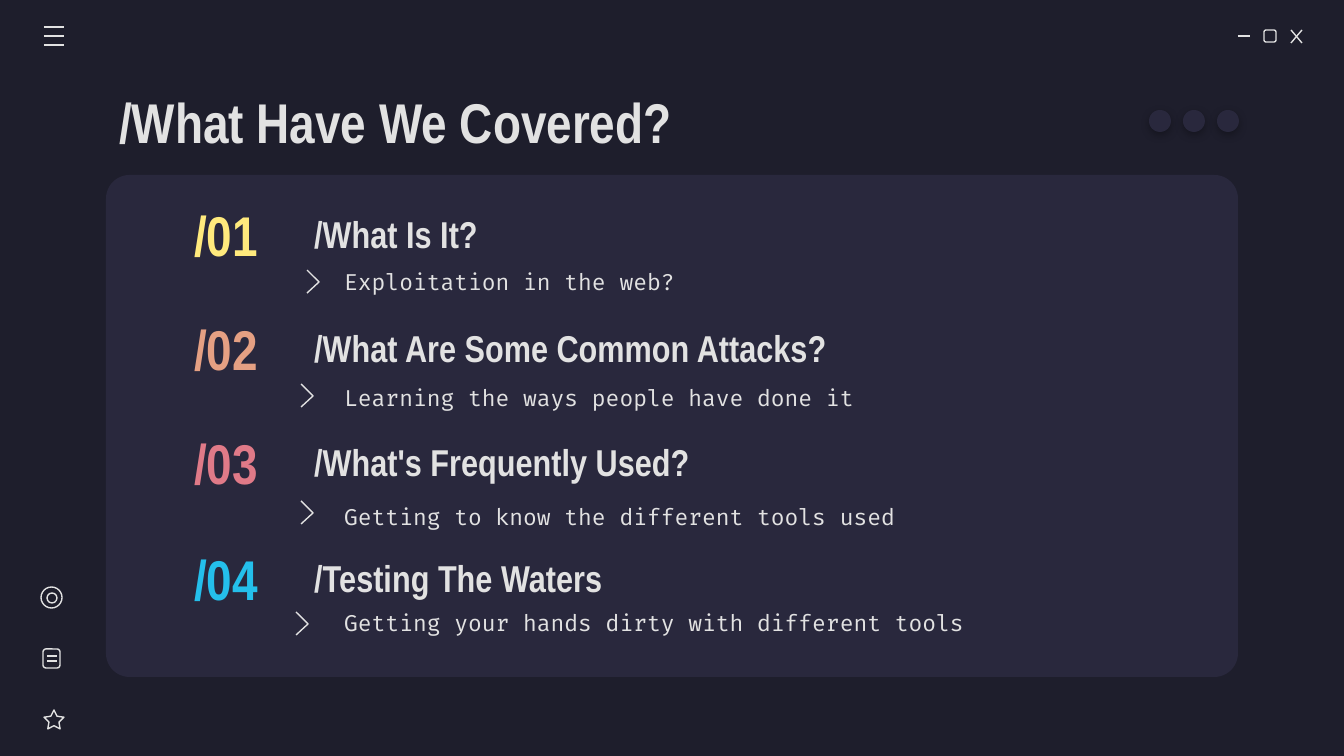
from lxml import etree
from pptx import Presentation
from pptx.dml.color import RGBColor
from pptx.enum.shapes import MSO_CONNECTOR, MSO_SHAPE
from pptx.enum.text import MSO_ANCHOR, PP_ALIGN
from pptx.oxml.ns import qn
from pptx.util import Inches, Pt

BACKDROP = RGBColor(0x1E, 0x1E, 0x2C)
PANEL = RGBColor(0x29, 0x28, 0x3D)
LIGHT = RGBColor(0xE2, 0xE2, 0xE2)
YELLOW = RGBColor(0xFF, 0xEA, 0x7D)
ORANGE = RGBColor(0xE5, 0xA0, 0x83)
PINK = RGBColor(0xE0, 0x7A, 0x88)
BLUE = RGBColor(0x24, 0xBF, 0xEB)

HEADING = "/What Have We Covered?"
# number, colour, topic, detail, topic top, detail top, chevron left and top
TOPICS = [
    ("/01", YELLOW, "/What Is It?", "Exploitation in the web?", 207, 262, (307, 270)),
    ("/02", ORANGE, "/What Are Some Common Attacks?",
     "Learning the ways people have done it", 321, 378, (301, 384)),
    ("/03", PINK, "/What's Frequently Used?",
     "Getting to know the different tools used", 435, 497, (301, 501)),
    ("/04", BLUE, "/Testing The Waters",
     "Getting your hands dirty with different tools", 551, 603, (296, 612)),
]
ICON_LINES = [
    *[(44, y, 64, y) for y in (27, 36, 45)],    # menu
    *[(47, y, 57, y) for y in (656, 661)],      # note
    (1238, 36, 1250, 36),                       # minimise
    (1291, 30, 1302, 43), (1302, 30, 1291, 43),  # close
]
ICON_OUTLINES = [
    (MSO_SHAPE.ROUNDED_RECTANGLE, (1264, 30, 12, 12), 0.17),
    (MSO_SHAPE.STAR_5_POINT, (44, 710, 20, 19), 0.25),
    (MSO_SHAPE.ROUNDED_RECTANGLE, (43, 649, 17, 19), 0.17),
    (MSO_SHAPE.OVAL, (41, 587, 21, 21), None),
    (MSO_SHAPE.OVAL, (47, 593, 10, 10), None),
]
EMU_PER_PX = 914400 / 134.4
LINE_WIDTH = Pt(0.75)


def px(length):
    return round(length * EMU_PER_PX)


prs = Presentation()
prs.slide_width, prs.slide_height = px(1344), px(756)
slide = prs.slides.add_slide(prs.slide_layouts[6])
slide.background.fill.solid()
slide.background.fill.fore_color.rgb = BACKDROP


def add_text(text, box, size, font="Arial Narrow", color=LIGHT, bold=True,
             align=PP_ALIGN.LEFT):
    frame = slide.shapes.add_textbox(*map(px, box)).text_frame
    frame.word_wrap = True
    frame.vertical_anchor = MSO_ANCHOR.MIDDLE
    frame.margin_left = frame.margin_right = Inches(0.1)
    frame.margin_top = frame.margin_bottom = Inches(0.1)
    paragraph = frame.paragraphs[0]
    paragraph.alignment = align
    run = paragraph.add_run()
    run.text = text
    run.font.name, run.font.size, run.font.bold = font, Pt(size), bold
    run.font.color.rgb = color


def draw_line(line):
    line.color.rgb = LIGHT
    line.width = LINE_WIDTH


def outline(shape):
    shape.shadow.inherit = False
    shape.fill.background()
    draw_line(shape.line)


def add_filled(kind, box):
    shape = slide.shapes.add_shape(kind, *map(px, box))
    shape.shadow.inherit = False
    shape.fill.solid()
    shape.fill.fore_color.rgb = PANEL
    shape.line.fill.background()
    return shape


def add_soft_shadow(shape):
    effects = shape.element.spPr.find(qn("a:effectLst"))
    shadow = etree.SubElement(effects, qn("a:outerShdw"), blurRad=str(Pt(4.5)),
                              dist=str(Pt(1.5)), dir="5400000",
                              algn="bl", rotWithShape="0")
    black = etree.SubElement(shadow, qn("a:srgbClr"), val="000000")
    etree.SubElement(black, qn("a:alpha"), val="30000")


def add_chevron(left, top):
    builder = slide.shapes.build_freeform(px(left), px(top))
    builder.add_line_segments([(px(left + 12), px(top + 12)),
                               (px(left), px(top + 23))], close=False)
    outline(builder.convert_to_shape())


panel = add_filled(MSO_SHAPE.ROUNDED_RECTANGLE, (106, 175, 1132, 502))
panel.adjustments[0] = 0.047

add_text(HEADING, (106, 79, 1132, 85), 30)
for number, color, topic, detail, topic_top, detail_top, chevron in TOPICS:
    add_text(topic, (301, topic_top, 879, 54), 20)
    add_text(number, (165, topic_top, 122, 54), 30, color=color,
             align=PP_ALIGN.CENTER)
    add_text(detail, (331, detail_top, 879, 39), 12, font="Fira Code", bold=False)
    add_chevron(*chevron)

for ends in ICON_LINES:
    connector = slide.shapes.add_connector(MSO_CONNECTOR.STRAIGHT, *map(px, ends))
    draw_line(connector.line)
    etree.SubElement(connector.element.spPr, qn("a:effectLst"))

for kind, box, adjustment in ICON_OUTLINES:
    icon = slide.shapes.add_shape(kind, *map(px, box))
    outline(icon)
    if adjustment is not None:
        icon.adjustments[0] = adjustment

for column in range(3):
    add_soft_shadow(add_filled(MSO_SHAPE.OVAL, (1149 + 34 * column, 110, 22, 22)))

prs.save("out.pptx")
